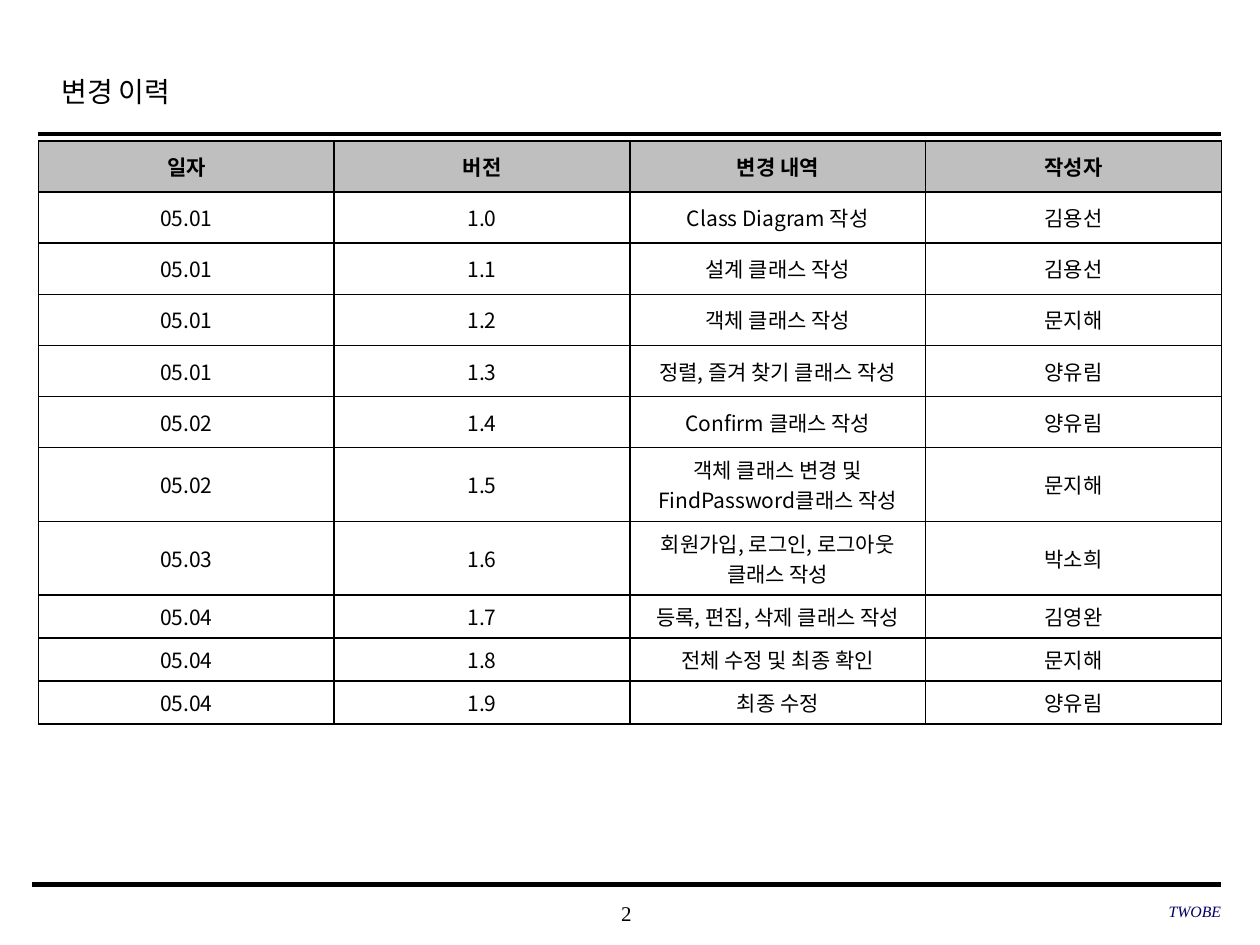
from dataclasses import dataclass

from lxml import etree
from pptx import Presentation
from pptx.dml.color import RGBColor
from pptx.enum.shapes import MSO_CONNECTOR
from pptx.enum.text import MSO_ANCHOR, PP_ALIGN
from pptx.oxml.ns import qn
from pptx.util import Pt

STRAIGHT = MSO_CONNECTOR.STRAIGHT
TOP, MIDDLE = MSO_ANCHOR.TOP, MSO_ANCHOR.MIDDLE
LEFT, CENTER, RIGHT = PP_ALIGN.LEFT, PP_ALIGN.CENTER, PP_ALIGN.RIGHT


@dataclass(frozen=True)
class Theme:
    ink: str = "000000"
    paper: str = "FFFFFF"
    header: str = "BFBFBF"
    team: str = "000066"
    serif: str = "Times New Roman"
    sans: str = "Noto Sans CJK KR"
    title_size: int = 16
    body_size: int = 12
    team_size: int = 9


THEME = Theme()

HEADERS = ("일자", "버전", "변경 내역", "작성자")
CHANGES = (
    ("05.01", "Class Diagram 작성", "김용선"),
    ("05.01", "설계 클래스 작성", "김용선"),
    ("05.01", "객체 클래스 작성", "문지해"),
    ("05.01", "정렬, 즐겨 찾기 클래스 작성", "양유림"),
    ("05.02", "Confirm 클래스 작성", "양유림"),
    ("05.02", "객체 클래스 변경 및 FindPassword클래스 작성", "문지해"),
    ("05.03", "회원가입, 로그인, 로그아웃 클래스 작성", "박소희"),
    ("05.04", "등록, 편집, 삭제 클래스 작성", "김영완"),
    ("05.04", "전체 수정 및 최종 확인", "문지해"),
    ("05.04", "최종 수정", "양유림"),
)
ROW_HEIGHTS = [29.2] * 6 + [42.1] * 2 + [24.6] * 3


def style_text(tf, align, font, size, color, bold=False, italic=False):
    """Format the single paragraph of a text frame."""
    p = tf.paragraphs[0]
    p.alignment = align
    r = p.runs[0]
    r.font.name = font
    r.font.size = Pt(size)
    r.font.bold = bold
    r.font.italic = italic
    r.font.color.rgb = RGBColor.from_string(color)
    # East Asian glyphs use the sans face
    ea = etree.SubElement(r._r.get_or_add_rPr(), qn("a:ea"))
    ea.set("typeface", THEME.sans)
    return p


def add_text(s, text, box, align, size, color, anchor=MIDDLE, inset=0, italic=False):
    sp = s.shapes.add_textbox(*map(Pt, box))
    tf = sp.text_frame
    tf.word_wrap = True
    tf.vertical_anchor = anchor
    tf.margin_left = tf.margin_right = Pt(inset)
    tf.margin_top = tf.margin_bottom = Pt(inset / 2)
    tf.text = text
    return style_text(tf, align, THEME.serif, size, color, italic=italic)


def add_rule(s, left, right, y, width):
    line = s.shapes.add_connector(STRAIGHT, Pt(left), Pt(y), Pt(right), Pt(y))
    line.line.color.rgb = RGBColor.from_string(THEME.ink)
    line.line.width = Pt(width)
    etree.SubElement(line._element.spPr, qn("a:effectLst"))


def add_borders(cell, width):
    tc_pr = cell._tc.get_or_add_tcPr()
    for i, side in enumerate(("lnL", "lnR", "lnT", "lnB")):
        ln = etree.Element(qn(f"a:{side}"), w=str(Pt(width)))
        fill = etree.SubElement(ln, qn("a:solidFill"))
        etree.SubElement(fill, qn("a:srgbClr"), val=THEME.ink)
        tc_pr.insert(i, ln)


def fill_cell(cell, text, fill, bold):
    cell.text = text
    cell.vertical_anchor = MIDDLE
    cell.fill.solid()
    cell.fill.fore_color.rgb = RGBColor.from_string(fill)
    style_text(cell.text_frame, CENTER, THEME.sans, THEME.body_size, THEME.ink, bold)
    add_borders(cell, 1)


def add_history(s, left, top, width):
    # Versions count up from 1.0, one per change
    rows = [HEADERS] + [
        (date, f"1.{i}", change, author)
        for i, (date, change, author) in enumerate(CHANGES)
    ]
    frame = s.shapes.add_table(len(rows), len(HEADERS), Pt(left), Pt(top),
                               Pt(width), Pt(sum(ROW_HEIGHTS)))
    table = frame.table
    for column in table.columns:
        column.width = Pt(width / len(HEADERS))
    for i, values in enumerate(rows):
        table.rows[i].height = Pt(ROW_HEIGHTS[i])
        fill = THEME.paper if i else THEME.header
        for j, text in enumerate(values):
            fill_cell(table.cell(i, j), text, fill, bold=i == 0)


def main():
    prs = Presentation()
    prs.slide_width, prs.slide_height = Pt(720), Pt(540)
    s = prs.slides.add_slide(prs.slide_layouts[6])

    # Title and the rules that frame the page
    add_rule(s, 22, 698, 76.4, 2.5)
    add_rule(s, 18, 698, 505.4, 3)
    title = add_text(s, "변경 이력", (28, 35.3, 543.6, 36), LEFT,
                     THEME.title_size, THEME.ink, TOP, inset=7.2)
    title.line_spacing = 1.2

    # Change history
    add_history(s, 22, 80.6, 676)

    # Footer
    add_text(s, "2", (283, 509.8, 149.8, 23.8), CENTER, THEME.body_size, THEME.ink)
    add_text(s, "TWOBE", (477.4, 509, 220.3, 23.8), RIGHT,
             THEME.team_size, THEME.team, italic=True)

    prs.save("out.pptx")


main()
